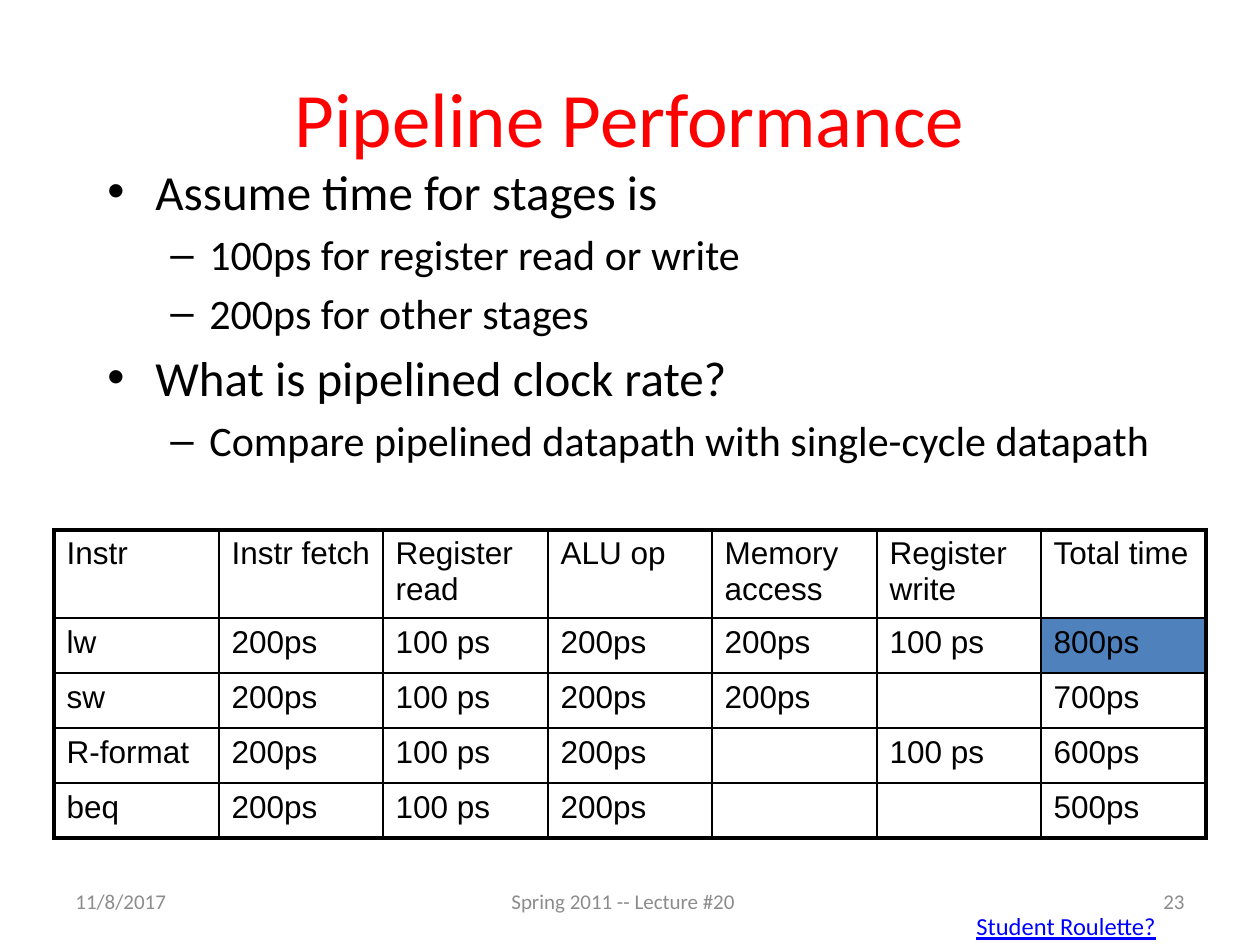
import pptx
import pptx.dml.color
import pptx.enum.text
import pptx.oxml
import pptx.oxml.ns
import pptx.util

ALIGN = pptx.enum.text.PP_ALIGN
ANCHOR = pptx.enum.text.MSO_ANCHOR

BULLETS = [
    (0, "Assume time for stages is"),
    (1, "100ps for register read or write"),
    (1, "200ps for other stages"),
    (0, "What is pipelined clock rate?"),
    (1, "Compare pipelined datapath with single-cycle datapath"),
]
LEVELS = [("•", 28, 48, 48), ("–", 24, 102, 39)]
TIMES = [
    ["Instr", "Instr fetch", "Register read", "ALU op", "Memory access", "Register write", "Total time"],
    ["lw", "200ps", "100 ps", "200ps", "200ps", "100 ps", "800ps"],
    ["sw", "200ps", "100 ps", "200ps", "200ps", "", "700ps"],
    ["R-format", "200ps", "100 ps", "200ps", "", "100 ps", "600ps"],
    ["beq", "200ps", "100 ps", "200ps", "", "", "500ps"],
]


def px(n):
    """Turn pixels at 126 to the inch into EMU."""
    return pptx.util.Emu(round(n * 914400 / 126))


def rgb(value):
    """Turn a hex string into a colour."""
    return pptx.dml.color.RGBColor.from_string(value)


def style(p, size, color="000000", font="Calibri", align=ALIGN.LEFT):
    """Format a paragraph and its runs."""
    p.alignment = align
    for r in p.runs:
        r.font.size = pptx.util.Pt(size)
        r.font.name = font
        r.font.color.rgb = rgb(color)


def add_title(s, text):
    """Fill and place the title placeholder."""
    sp = s.shapes.title
    sp.left, sp.top, sp.width, sp.height = px(63), px(38), px(1134), px(158)
    tf = sp.text_frame
    tf.text = text
    tf.vertical_anchor = ANCHOR.MIDDLE
    style(tf.paragraphs[0], 44, "FF0000", align=ALIGN.CENTER)


def add_text(s, text, box, size, color, align=ALIGN.LEFT, anchor=ANCHOR.MIDDLE, wrap=True):
    """Add a one-line text box."""
    tf = s.shapes.add_textbox(*map(px, box)).text_frame
    tf.text = text
    tf.word_wrap = wrap
    tf.vertical_anchor = anchor
    style(tf.paragraphs[0], size, color, align=align)
    return tf


def add_bullets(s, items, box):
    """Add a two-level bulleted list."""
    tf = s.shapes.add_textbox(*map(px, box)).text_frame
    tf.word_wrap = True
    for i, (level, text) in enumerate(items):
        p = tf.add_paragraph() if i else tf.paragraphs[0]
        char, size, margin, hang = LEVELS[level]
        p.text = text
        p.level = level
        p.space_before = pptx.util.Pt(size * 0.2)
        style(p, size)
        pPr = p._p.get_or_add_pPr()
        pPr.set("marL", str(px(margin)))
        pPr.set("indent", str(-px(hang)))
        ns = pptx.oxml.ns.nsdecls("a")
        pPr.append(pptx.oxml.parse_xml(f'<a:buFont {ns} typeface="Arial"/>'))
        pPr.append(pptx.oxml.parse_xml(f'<a:buChar {ns} char="{char}"/>'))


def set_borders(cell, widths):
    """Draw black cell borders from widths in points, keyed by side."""
    tcPr = cell._tc.get_or_add_tcPr()
    for side in "LRTB":
        tcPr.append(pptx.oxml.parse_xml(
            f'<a:ln{side} {pptx.oxml.ns.nsdecls("a")} w="{pptx.util.Pt(widths[side])}">'
            f'<a:solidFill><a:srgbClr val="000000"/></a:solidFill></a:ln{side}>'))


def add_times(s, rows, left, top):
    """Add the table of stage times with a heavy outer frame."""
    last_row, last_col = len(rows) - 1, len(rows[0]) - 1
    frame = s.shapes.add_table(len(rows), len(rows[0]), px(left), px(top), px(1152), px(304))
    table = frame.table
    table.first_row = table.horz_banding = False
    for j, column in enumerate(table.columns):
        column.width = px(164 if j % 2 else 165)
    for i, values in enumerate(rows):
        table.rows[i].height = px(55 if i else 84)
        for j, text in enumerate(values):
            cell = table.cell(i, j)
            cell.text = text
            style(cell.text_frame.paragraphs[0], 18, font="Arial")
            set_borders(cell, {
                "L": 2.25 if j == 0 else 1,
                "R": 2.25 if j == last_col else 1,
                "T": {0: 2.25, 1: 1.5}.get(i, 1),
                "B": {0: 1.5, last_row: 2.25}.get(i, 1),
            })
            cell.fill.background()
    slowest = table.cell(1, last_col)
    slowest.fill.solid()
    slowest.fill.fore_color.rgb = rgb("4F81BD")


def main():
    """Build the slide and save it."""
    prs = pptx.Presentation()
    prs.slide_width, prs.slide_height = px(1260), px(945)
    s = prs.slides.add_slide(prs.slide_layouts[5])
    add_title(s, "Pipeline Performance")
    add_bullets(s, BULLETS, (95, 155, 1140, 349))
    add_times(s, TIMES, 54, 530)
    footers = [
        ("11/8/2017", 63, ALIGN.LEFT),
        ("Spring 2011 -- Lecture #20", 499, ALIGN.LEFT),
        ("23", 903, ALIGN.RIGHT),
    ]
    for text, left, align in footers:
        add_text(s, text, (left, 876, 294, 50), 12, "8C8C8C", align)
    tf = add_text(s, "Student Roulette?", (964, 905, 207, 43), 14, "0000FF",
                  anchor=ANCHOR.TOP, wrap=False)
    tf.auto_size = pptx.enum.text.MSO_AUTO_SIZE.SHAPE_TO_FIT_TEXT
    tf.paragraphs[0].runs[0].font.underline = True
    prs.save("out.pptx")


if __name__ == "__main__":
    main()
